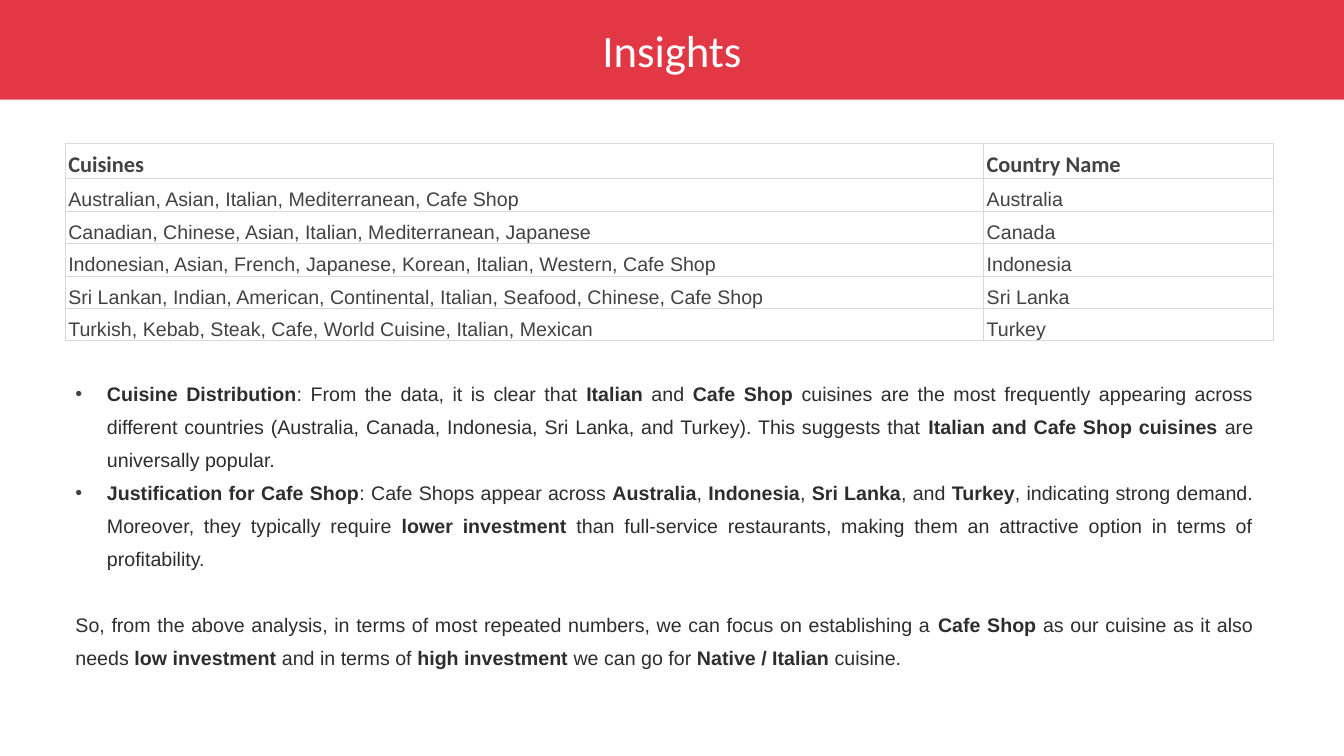
from lxml import etree
from pptx import Presentation, util as u
from pptx.dml.color import RGBColor
from pptx.enum import shapes, text
from pptx.oxml import ns

# Content: **double stars** enclose bold words
TITLE = "Insights"
CUISINES = [
    ("Cuisines", "Country Name"),
    ("Australian, Asian, Italian, Mediterranean, Cafe Shop", "Australia"),
    ("Canadian, Chinese, Asian, Italian, Mediterranean, Japanese", "Canada"),
    ("Indonesian, Asian, French, Japanese, Korean, Italian, Western, Cafe Shop", "Indonesia"),
    ("Sri Lankan, Indian, American, Continental, Italian, Seafood, Chinese, Cafe Shop", "Sri Lanka"),
    ("Turkish, Kebab, Steak, Cafe, World Cuisine, Italian, Mexican", "Turkey"),
]
FINDINGS = [
    "**Cuisine Distribution**: From the data, it is clear that **Italian** and **Cafe Shop **"
    "cuisines are the most frequently appearing across different countries (Australia, Canada, "
    "Indonesia, Sri Lanka, and Turkey). This suggests that **Italian and Cafe Shop cuisines **"
    "are universally popular.",
    "**Justification for Cafe Shop**: Cafe Shops appear across **Australia**, **Indonesia**, "
    "**Sri Lanka**, and **Turkey**, indicating strong demand. Moreover, they typically require "
    "**lower investment **than full-service restaurants, making them an attractive option in "
    "terms of profitability.",
]
CONCLUSION = (
    "So, from the above analysis, in terms of most repeated numbers, we can focus on "
    "establishing a **Cafe Shop **as our cuisine as it also needs **low investment **and in "
    "terms of **high investment **we can go for **Native / Italian **cuisine."
)
COLORS = {"banner": "E23744", "title": "FFFFFF", "cell": "FFFFFF",
          "table": "424242", "border": "D8D8D8", "body": "2D2D2D"}

# Layout, in points
SLIDE_W, SLIDE_H = 960, 540
BANNER_H = 71.2
LEFT = 46.8
TABLE_TOP, COLUMN_WIDTHS = 102.6, (656, 206.6)
HEADER_H, ROW_H = 25, 23.2
BODY_TOP, BODY_W, BODY_H = 262.8, 855.4, 221.8
INDENT, BODY_LINE = 22.5, 23.6


def color(name):
    return RGBColor.from_string(COLORS[name])


def style(font, face, size, name, bold=False):
    font.name, font.size, font.bold = face, u.Pt(size), bold
    font.color.rgb = color(name)


def add_borders(cell):
    props = cell._tc.get_or_add_tcPr()
    for side in ("lnL", "lnR", "lnT", "lnB"):
        line = etree.SubElement(props, ns.qn("a:" + side), w=str(u.Pt(0.75)))
        fill = etree.SubElement(line, ns.qn("a:solidFill"))
        etree.SubElement(fill, ns.qn("a:srgbClr"), val=COLORS["border"])


def add_bullet(paragraph):
    props = paragraph._p.get_or_add_pPr()
    props.set("marL", str(u.Pt(INDENT)))
    props.set("indent", str(-u.Pt(INDENT)))
    bullet_color = etree.SubElement(props, ns.qn("a:buClr"))
    etree.SubElement(bullet_color, ns.qn("a:srgbClr"), val=COLORS["table"])
    etree.SubElement(props, ns.qn("a:buFont"), typeface="Arial")
    etree.SubElement(props, ns.qn("a:buChar"), char="•")


def add_body(slide):
    box = slide.shapes.add_textbox(u.Pt(LEFT), u.Pt(BODY_TOP), u.Pt(BODY_W), u.Pt(BODY_H))
    frame = box.text_frame
    frame.word_wrap = True
    for i, passage in enumerate(FINDINGS + [CONCLUSION]):
        paragraph = frame.add_paragraph() if i else frame.paragraphs[0]
        paragraph.alignment = text.PP_ALIGN.JUSTIFY
        paragraph.line_spacing = 1.4
        if i < len(FINDINGS):
            add_bullet(paragraph)
        else:
            paragraph.space_before = u.Pt(BODY_LINE)
        for j, words in enumerate(passage.split("**")):
            if words:
                run = paragraph.add_run()
                run.text = words
                style(run.font, "Arial", 14, "body", bold=j % 2 == 1)


def add_banner(slide):
    banner = slide.shapes.add_shape(shapes.MSO_SHAPE.RECTANGLE, 0, 0, u.Pt(SLIDE_W), u.Pt(BANNER_H))
    banner.shadow.inherit = False
    banner.fill.solid()
    banner.fill.fore_color.rgb = color("banner")
    banner.line.fill.background()
    banner.text_frame.text = TITLE
    banner.text_frame.vertical_anchor = text.MSO_ANCHOR.MIDDLE
    title = banner.text_frame.paragraphs[0]
    title.alignment = text.PP_ALIGN.CENTER
    style(title.runs[0].font, "Calibri", 32, "title")


def add_cuisines(slide):
    heights = [HEADER_H] + [ROW_H] * (len(CUISINES) - 1)
    table = slide.shapes.add_table(
        len(CUISINES), len(COLUMN_WIDTHS), u.Pt(LEFT), u.Pt(TABLE_TOP),
        u.Pt(sum(COLUMN_WIDTHS)), u.Pt(sum(heights))).table
    table.first_row = table.horz_banding = False
    for column, width in zip(table.columns, COLUMN_WIDTHS):
        column.width = u.Pt(width)
    for r, (row, height) in enumerate(zip(CUISINES, heights)):
        table.rows[r].height = u.Pt(height)
        for c, words in enumerate(row):
            cell = table.cell(r, c)
            add_borders(cell)
            cell.fill.solid()
            cell.fill.fore_color.rgb = color("cell")
            cell.margin_left = cell.margin_right = u.Pt(2)
            cell.margin_top = cell.margin_bottom = 0
            cell.vertical_anchor = text.MSO_ANCHOR.BOTTOM
            cell.text_frame.text = words
            paragraph = cell.text_frame.paragraphs[0]
            paragraph.line_spacing = 1.15
            face, size = ("Arial", 14) if r else ("Calibri", 16)
            style(paragraph.runs[0].font, face, size, "table", bold=r == 0)


def main():
    deck = Presentation()
    deck.slide_width, deck.slide_height = u.Pt(SLIDE_W), u.Pt(SLIDE_H)
    slide = deck.slides.add_slide(deck.slide_layouts[6])
    add_body(slide)
    add_banner(slide)
    add_cuisines(slide)
    deck.save("out.pptx")


if __name__ == "__main__":
    main()
